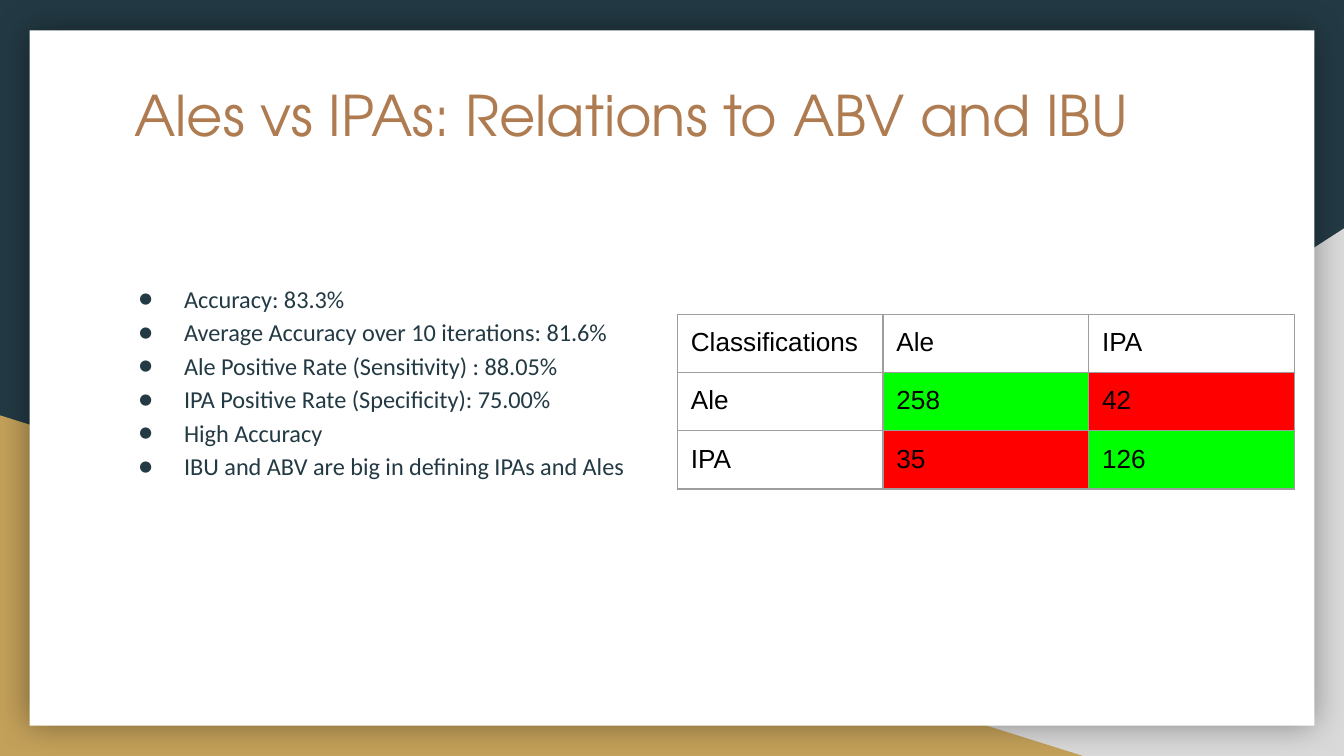
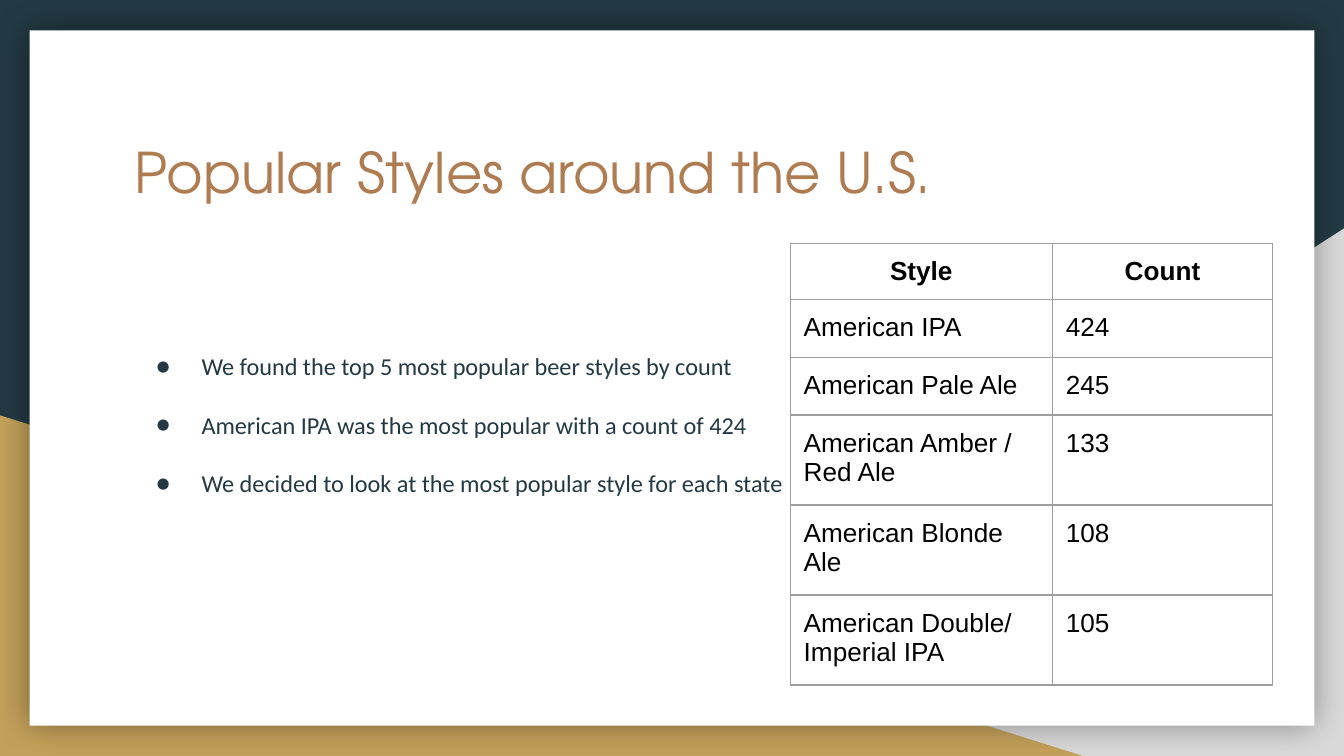
from lxml import etree
from pptx import Presentation
from pptx import util as u
from pptx.dml.color import RGBColor
from pptx.enum import shapes, text
from pptx.oxml import parse_xml
from pptx.oxml.ns import qn

COLOURS = {
    "navy": "233A44", "gold": "C4A15A", "grey": "D9D9D9", "white": "FFFFFF",
    "copper": "AF7B51", "black": "000000", "border": "9E9E9E",
    "right": "00FF00", "wrong": "FF0000",
}
FONTS = {"title": "TeX Gyre Adventor", "body": "Calibri", "table": "Arial"}
COLUMNS, ROWS = 100, 56.25
CELL = u.Inches(10) / COLUMNS
DRAWING = "http://schemas.openxmlformats.org/drawingml/2006/main"


def grid(count):
    """Turn a number of grid columns or rows into a length."""
    return u.Emu(round(count * CELL))


def colour(name):
    """Look up a palette colour."""
    return RGBColor.from_string(COLOURS[name])


def place(shape, box):
    """Move a shape to a box given as column, row, width and height."""
    shape.left, shape.top, shape.width, shape.height = map(grid, box)


def add_run(paragraph, words, font, size, ink, bold=False):
    """Append one formatted run to a paragraph."""
    run = paragraph.add_run()
    run.text = words
    run.font.name, run.font.size, run.font.bold = FONTS[font], u.Pt(size), bold
    run.font.color.rgb = colour(ink)


def add_panel(slide, kind, box, fill, flip=False):
    """Add a plain filled shape without line or shadow."""
    panel = slide.shapes.add_shape(kind, *map(grid, box))
    panel.shadow.inherit = False
    panel.fill.solid()
    panel.fill.fore_color.rgb = colour(fill)
    panel.line.fill.background()
    if flip:
        panel.element.spPr.find(qn("a:xfrm")).set("flipH", "1")
    return panel


def add_glow(shape):
    """Give a shape a soft dark shadow on all sides."""
    effects = shape.element.spPr.find(qn("a:effectLst"))
    effects.append(parse_xml(
        f'<a:outerShdw xmlns:a="{DRAWING}" blurRad="{u.Pt(18)}" dist="0" dir="0" algn="ctr" '
        f'rotWithShape="0"><a:srgbClr val="{COLOURS["black"]}"><a:alpha val="40000"/>'
        '</a:srgbClr></a:outerShdw>'))


def move_to_layout(panels, layout):
    """Put panels behind the placeholders of a layout, under fresh ids."""
    tree = layout.shapes.element
    for number, panel in enumerate(panels):
        panel.element.nvSpPr.cNvPr.set("id", str(100 + number))
        tree.insert(2 + number, panel.element)


def build_backdrop(slide, layout):
    """Draw the shared backdrop and hand it to the layout."""
    layout.background.fill.solid()
    layout.background.fill.fore_color.rgb = colour("navy")
    triangle = shapes.MSO_SHAPE.RIGHT_TRIANGLE
    grey = add_panel(slide, triangle, (39.2, 17, COLUMNS - 39.2, ROWS - 17), "grey", flip=True)
    gold = add_panel(slide, triangle, (0, 30.9, 80.6, ROWS - 30.9), "gold")
    page = add_panel(slide, shapes.MSO_SHAPE.RECTANGLE, (2.2, 2.25, COLUMNS - 4.4, ROWS - 4.5),
                     "white")
    add_glow(page)
    move_to_layout([grey, gold, page], layout)


def prepare_frame(frame):
    """Set the margins, anchor and wrapping of a text frame."""
    frame.margin_left = frame.margin_right = frame.margin_top = frame.margin_bottom = grid(1)
    frame.vertical_anchor = text.MSO_ANCHOR.TOP
    frame.auto_size = text.MSO_AUTO_SIZE.NONE
    frame.word_wrap = True


def set_title(slide, words, row):
    """Fill the title placeholder at a given row."""
    title = slide.shapes.title
    place(title, (9, row, 82.1, 10.4))
    prepare_frame(title.text_frame)
    paragraph = title.text_frame.paragraphs[0]
    paragraph.alignment = text.PP_ALIGN.LEFT
    add_run(paragraph, words, "title", 30, "copper")


def add_bullet(paragraph):
    """Give a paragraph a hanging round bullet."""
    properties = paragraph._p.get_or_add_pPr()
    properties.set("marL", str(grid(5)))
    properties.set("indent", str(-grid(3.4)))
    tint = etree.SubElement(properties, qn("a:buClr"))
    etree.SubElement(tint, qn("a:srgbClr")).set("val", COLOURS["navy"])
    etree.SubElement(properties, qn("a:buFont")).set("typeface", FONTS["body"])
    etree.SubElement(properties, qn("a:buChar")).set("char", "●")


def set_bullets(slide, items, box, spacing):
    """Fill the body placeholder with a bulleted list."""
    body = slide.placeholders[1]
    place(body, box)
    frame = body.text_frame
    prepare_frame(frame)
    for index, item in enumerate(items):
        paragraph = frame.add_paragraph() if index else frame.paragraphs[0]
        paragraph.line_spacing = spacing
        paragraph.space_before = paragraph.space_after = u.Pt(0)
        add_bullet(paragraph)
        add_run(paragraph, item, "body", 13, "navy")


def add_borders(cell):
    """Draw a thin line on all four sides of a cell."""
    properties = cell._tc.get_or_add_tcPr()
    for index, side in enumerate(("lnL", "lnR", "lnT", "lnB")):
        properties.insert(index, parse_xml(
            f'<a:{side} xmlns:a="{DRAWING}" w="{u.Pt(0.75)}"><a:solidFill>'
            f'<a:srgbClr val="{COLOURS["border"]}"/></a:solidFill></a:{side}>'))


def fill_cell(cell, words, fill=None, header=False):
    """Write and format one table cell."""
    cell.margin_left = cell.margin_right = cell.margin_top = cell.margin_bottom = grid(1)
    if fill:
        cell.fill.solid()
        cell.fill.fore_color.rgb = colour(fill)
    else:
        cell.fill.background()
    add_borders(cell)
    paragraph = cell.text_frame.paragraphs[0]
    paragraph.alignment = text.PP_ALIGN.CENTER if header else text.PP_ALIGN.LEFT
    add_run(paragraph, words, "table", 14, "black", header)


def add_grid_table(slide, corner, widths, heights, rows, fills=None, header=False):
    """Add a bordered table with optional cell fills and a bold header."""
    fills = fills or {}
    frame = slide.shapes.add_table(len(heights), len(widths), *map(grid, corner),
                                   grid(sum(widths)), grid(sum(heights)))
    table = frame.table
    table.first_row = table.horz_banding = False
    for column, width in zip(table.columns, widths):
        column.width = grid(width)
    for row, height in zip(table.rows, heights):
        row.height = grid(height)
    for r, values in enumerate(rows):
        for c, value in enumerate(values):
            fill_cell(table.cell(r, c), value, fills.get((r, c)), header and r == 0)


def build_relations(slide):
    """Build the slide that compares ales with IPAs."""
    set_title(slide, "Ales vs IPAs: Relations to ABV and IBU", 5)
    set_bullets(slide, [
        "Accuracy: 83.3%",
        "Average Accuracy over 10 iterations: 81.6%",
        "Ale Positive Rate (Sensitivity) : 88.05%",
        "IPA Positive Rate (Specificity): 75.00%",
        "High Accuracy",
        "IBU and ABV are big in defining IPAs and Ales",
    ], (7.7, 19.8, 41, 16.7), 1.15)
    matrix = [("Classifications", "Ale", "IPA"), ("Ale", "258", "42"), ("IPA", "35", "126")]
    fills = {(r, c): "right" if r == c else "wrong" for r in (1, 2) for c in (1, 2)}
    add_grid_table(slide, (50.4, 23.4), [15.3] * 3, [4.33] * 3, matrix, fills)


def build_styles(slide):
    """Build the slide of the most popular beer styles."""
    set_title(slide, "Popular Styles around the U.S.", 9.2)
    set_bullets(slide, [
        "We found the top 5 most popular beer styles by count",
        "American IPA was the most popular with a count of 424",
        "We decided to look at the most popular style for each state",
    ], (9, 23, 82.1, 26.8), 2.0)
    counts = [
        ("Style", "Count"),
        ("American IPA", "424"),
        ("American Pale Ale", "245"),
        ("American Amber / Red Ale", "133"),
        ("American Blonde Ale", "108"),
        ("American Double/ Imperial IPA", "105"),
    ]
    heights = [3.7] + [4.3] * 2 + [6.7] * 3
    add_grid_table(slide, (58.8, 18.1), [19.5, 16.4], heights, counts, header=True)


def main():
    """Build both slides and save the presentation."""
    presentation = Presentation()
    presentation.slide_width, presentation.slide_height = grid(COLUMNS), grid(ROWS)
    layout = presentation.slide_layouts[1]
    relations, styles = (presentation.slides.add_slide(layout) for _ in range(2))
    build_backdrop(relations, layout)
    build_relations(relations)
    build_styles(styles)
    presentation.save("out.pptx")


if __name__ == "__main__":
    main()
